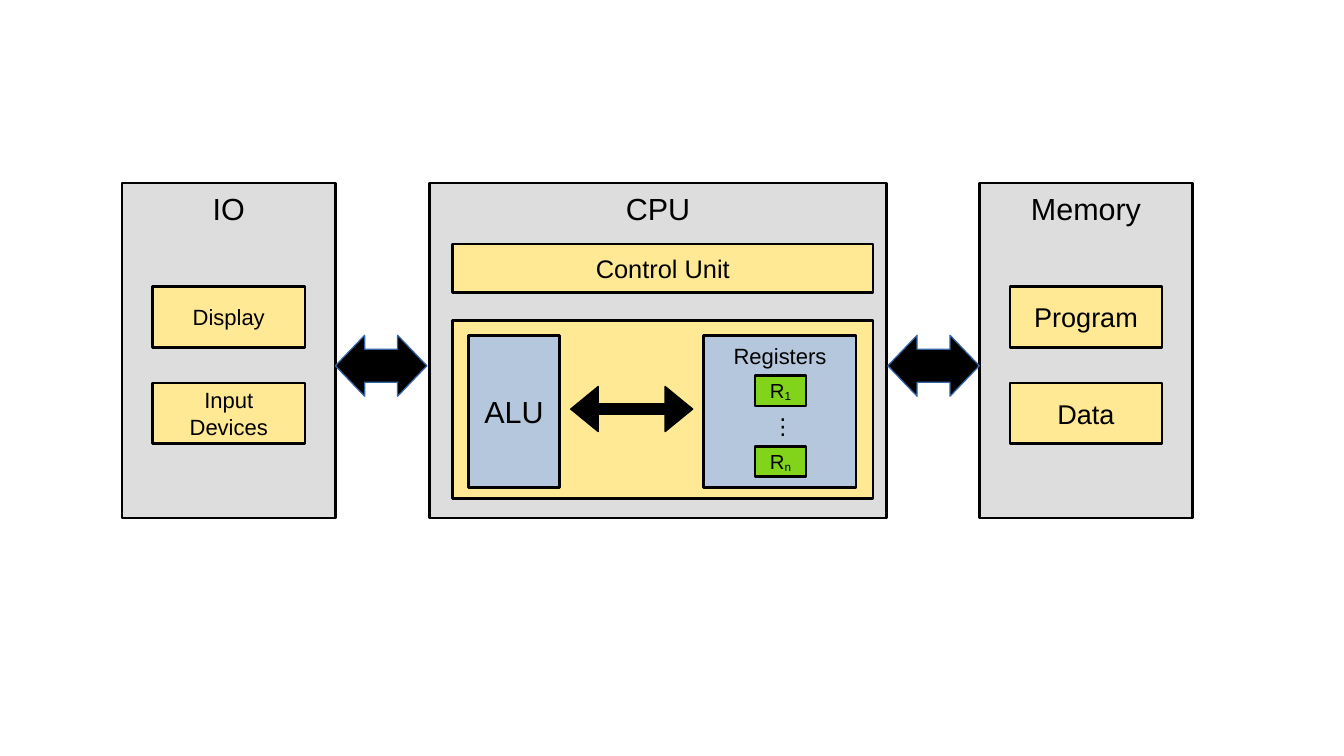
import pptx
import pptx.dml.color
import pptx.enum.shapes
import pptx.enum.text
import pptx.util

Inches = pptx.util.Inches
Pt = pptx.util.Pt
RGBColor = pptx.dml.color.RGBColor
MSO_SHAPE = pptx.enum.shapes.MSO_SHAPE
MSO_ANCHOR = pptx.enum.text.MSO_ANCHOR
PP_ALIGN = pptx.enum.text.PP_ALIGN

BLACK = RGBColor(0x00, 0x00, 0x00)
GREY = RGBColor(0xDD, 0xDD, 0xDD)
YELLOW = RGBColor(0xFF, 0xE9, 0x94)
BLUE = RGBColor(0xB4, 0xC7, 0xDC)
GREEN = RGBColor(0x81, 0xD4, 0x1A)
ARROW_EDGE = RGBColor(0x34, 0x65, 0xA4)
FONT = "Arial"

UNIT_TOP, UNIT_HEIGHT, SIDE_WIDTH = 1.5, 2.75, 1.75
PART_TOPS = (2.35, 3.14)


def add_run(p, text, size, subscript=False):
    r = p.add_run()
    r.text = text
    r.font.name = FONT
    r.font.size = Pt(size)
    r.font.color.rgb = BLACK
    if subscript:
        r._r.get_or_add_rPr().set("baseline", "-8000")


def add_filled(s, kind, left, top, width, height, fill, line, weight):
    sp = s.shapes.add_shape(kind, Inches(left), Inches(top), Inches(width), Inches(height))
    sp.shadow.inherit = False
    sp.fill.solid()
    sp.fill.fore_color.rgb = fill
    sp.line.color.rgb = line
    sp.line.width = Pt(weight)
    return sp


def add_box(s, left, top, width, height, fill, text="", size=18,
            anchor=MSO_ANCHOR.MIDDLE, subscript=""):
    sp = add_filled(s, MSO_SHAPE.RECTANGLE, left, top, width, height, fill, BLACK, 1.5)
    if not text:
        return
    tf = sp.text_frame
    tf.word_wrap = True
    tf.vertical_anchor = anchor
    tf.margin_left = tf.margin_right = Inches(0.11)
    tf.margin_top = tf.margin_bottom = Inches(0.06)
    p = tf.paragraphs[0]
    p.alignment = PP_ALIGN.CENTER
    add_run(p, text, size)
    if subscript:
        add_run(p, subscript, size, subscript=True)


def add_double_arrow(s, left, top, width, height, adjustments, line, weight):
    sp = add_filled(s, MSO_SHAPE.LEFT_RIGHT_ARROW, left, top, width, height,
                    BLACK, line, weight)
    for i, value in enumerate(adjustments):
        sp.adjustments[i] = value


def add_ellipsis(s, left, top):
    tb = s.shapes.add_textbox(Inches(left), Inches(top), Inches(0.31), Inches(0.3))
    add_run(tb.text_frame.paragraphs[0], "⋮", 13)


def add_side_unit(s, left, title, parts, size):
    """Draw an outer unit holding a column of labelled parts."""
    add_box(s, left, UNIT_TOP, SIDE_WIDTH, UNIT_HEIGHT, GREY, title, anchor=MSO_ANCHOR.TOP)
    for top, part in zip(PART_TOPS, parts):
        add_box(s, left + 0.25, top, 1.25, 0.5, YELLOW, part, size)


def add_cpu(s):
    add_box(s, 3.52, UNIT_TOP, 3.75, UNIT_HEIGHT, GREY, "CPU", anchor=MSO_ANCHOR.TOP)
    add_box(s, 3.71, 2, 3.45, 0.4, YELLOW, "Control Unit", 15)
    add_box(s, 3.71, 2.63, 3.45, 1.46, YELLOW)
    add_box(s, 3.84, 2.75, 0.75, 1.25, BLUE, "ALU")
    add_box(s, 5.77, 2.75, 1.25, 1.25, BLUE, "Registers", 13, MSO_ANCHOR.TOP)
    for top, index in ((3.08, "1"), (3.66, "n")):
        add_box(s, 6.19, top, 0.42, 0.25, GREEN, "R", 12, subscript=index)
    add_ellipsis(s, 6.23, 3.33)
    add_double_arrow(s, 4.68, 3.17, 1, 0.37, (0.23, 0.61), BLACK, 0.79)


def main():
    prs = pptx.Presentation()
    prs.slide_width = Inches(11.02)
    prs.slide_height = Inches(6.2)
    s = prs.slides.add_slide(prs.slide_layouts[6])
    add_side_unit(s, 8.03, "Memory", ("Program", "Data"), 16)
    add_cpu(s)
    add_side_unit(s, 1, "IO", ("Display", "Input Devices"), 13)
    for left in (2.75, 7.28):
        add_double_arrow(s, left, 2.75, 0.75, 0.5, (0.54, 0.48), ARROW_EDGE, 0)
    prs.save("out.pptx")


if __name__ == "__main__":
    main()
